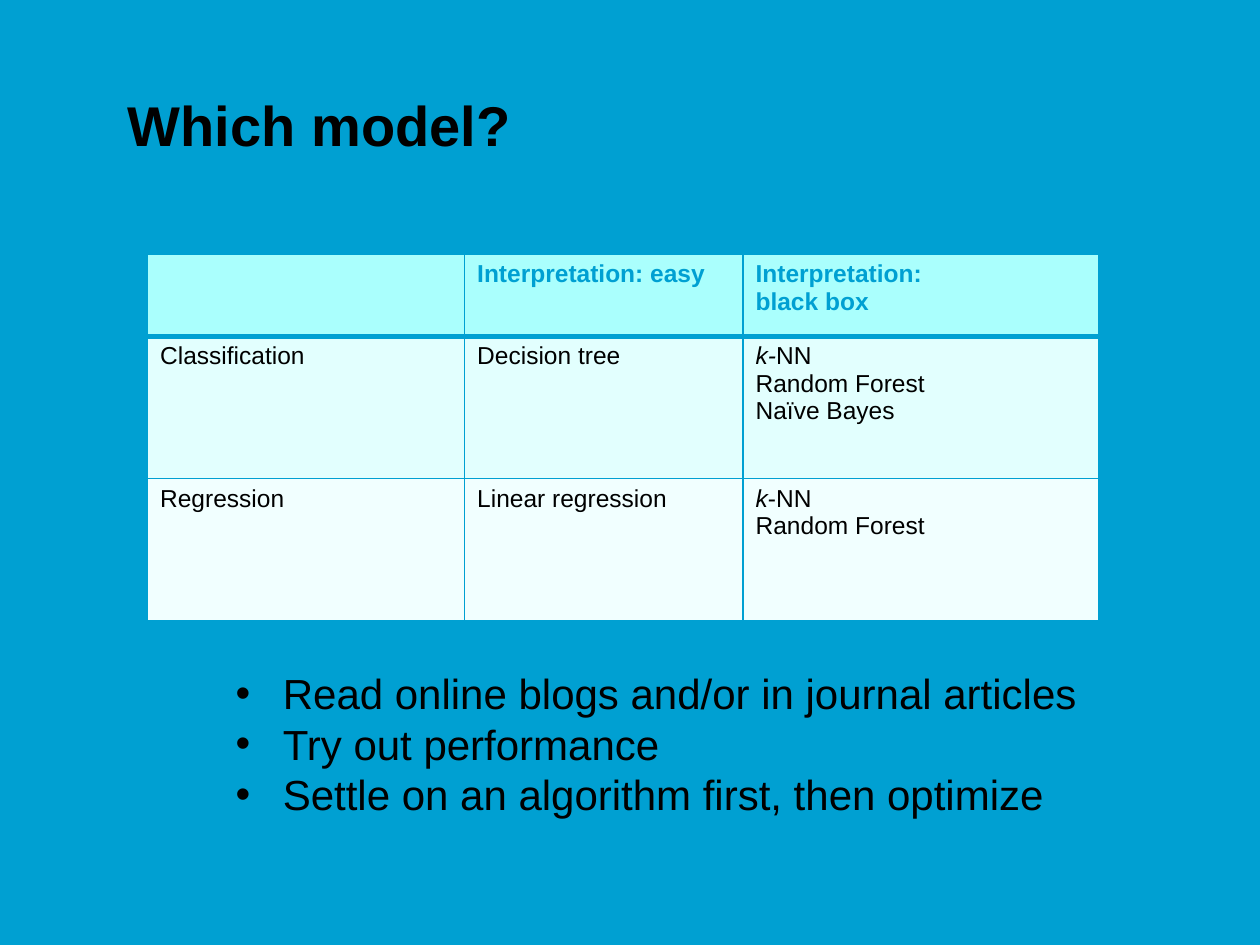
from lxml.etree import SubElement
from pptx import Presentation
from pptx.dml.color import RGBColor
from pptx.enum.text import MSO_ANCHOR as Anchor
from pptx.oxml.ns import qn
from pptx.util import Pt

COLOURS = {
    "background": "00A0D2",
    "text": "000000",
    "header": "AAFFFD",
    "classification": "E2FFFE",
    "regression": "F1FFFF",
}
FONT = "Arial"

# Each cell is a list of lines, each line a list of (text, italic) runs
MODELS = [
    ("header", [[],
                [[("Interpretation: easy", False)]],
                [[("Interpretation:", False)], [("black box", False)]]]),
    ("classification", [[[("Classification", False)]],
                        [[("Decision tree", False)]],
                        [[("k-", True), ("NN", False)],
                         [("Random Forest", False)],
                         [("Naïve Bayes", False)]]]),
    ("regression", [[[("Regression", False)]],
                    [[("Linear regression", False)]],
                    [[("k", True), ("-NN", False)],
                     [("Random Forest", False)]]]),
]
ADVICE = [
    "Read online blogs and/or in journal articles",
    "Try out performance",
    "Settle on an algorithm first, then optimize",
]


def rgb(name):
    return RGBColor.from_string(COLOURS[name])


def add_run(paragraph, text, size, colour="text", bold=False, italic=False):
    run = paragraph.add_run()
    run.text = text
    font = run.font
    font.name, font.size, font.bold, font.italic = FONT, Pt(size), bold, italic
    font.color.rgb = rgb(colour)


def nth_paragraph(frame, index):
    return frame.add_paragraph() if index else frame.paragraphs[0]


def add_title(slide, box):
    frame = slide.shapes.add_textbox(*map(Pt, box)).text_frame
    frame.word_wrap = True
    frame.vertical_anchor = Anchor.BOTTOM
    add_run(frame.paragraphs[0], "Which model?", 32, bold=True)


def set_border(cell, side, width):
    line = SubElement(cell._tc.get_or_add_tcPr(), qn(f"a:ln{side}"), w=str(Pt(width)))
    fill = SubElement(line, qn("a:solidFill"))
    SubElement(fill, qn("a:srgbClr"), val=COLOURS["background"])


def add_model_table(slide, box, widths, heights):
    table = slide.shapes.add_table(len(heights), len(widths), *map(Pt, box)).table
    for column, width in zip(table.columns, widths):
        column.width = Pt(width)
    for row, height in zip(table.rows, heights):
        row.height = Pt(height)

    for r, (kind, entries) in enumerate(MODELS):
        is_header = kind == "header"
        for c, lines in enumerate(entries):
            cell = table.cell(r, c)
            # A thick rule separates the header from the body
            set_border(cell, "L", 1)
            set_border(cell, "R", 1)
            set_border(cell, "T", 3 if r == 1 else 1)
            set_border(cell, "B", 3 if is_header else 1)
            cell.fill.solid()
            cell.fill.fore_color.rgb = rgb(kind)
            for i, line in enumerate(lines):
                paragraph = nth_paragraph(cell.text_frame, i)
                for text, italic in line:
                    add_run(paragraph, text, 14,
                            "background" if is_header else "text", is_header, italic)


def add_advice(slide, box, indent=27):
    frame = slide.shapes.add_textbox(*map(Pt, box)).text_frame
    frame.word_wrap = False
    for i, tip in enumerate(ADVICE):
        paragraph = nth_paragraph(frame, i)
        properties = paragraph._p.get_or_add_pPr()
        properties.set("marL", str(Pt(indent)))
        properties.set("indent", str(Pt(-indent)))
        SubElement(properties, qn("a:buFont"), typeface=FONT)
        SubElement(properties, qn("a:buChar"), char="•")
        add_run(paragraph, tip, 24)


def main():
    deck = Presentation()
    deck.slide_width, deck.slide_height = Pt(720), Pt(540)
    slide = deck.slides.add_slide(deck.slide_layouts[6])
    slide.background.fill.solid()
    slide.background.fill.fore_color.rgb = rgb("background")

    add_title(slide, (66, 48, 486, 45.5))
    add_model_table(slide, (84.3, 145.3, 543.5, 209.6),
                    widths=(181.2, 159.1, 203.2), heights=(46.8, 81.4, 81.4))
    add_advice(slide, (127.5, 378, 500, 94))
    deck.save("out.pptx")


if __name__ == "__main__":
    main()
